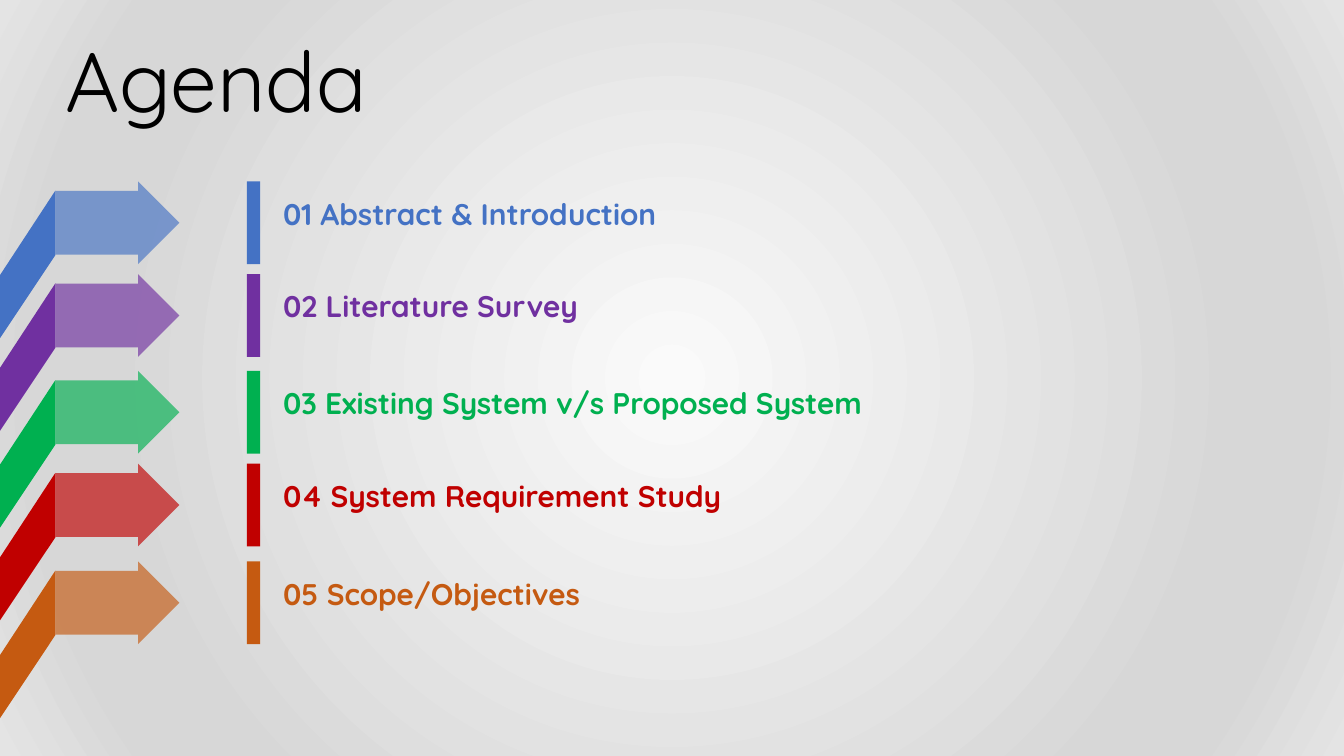
from dataclasses import dataclass

import lxml.etree
import pptx
import pptx.dml.color
import pptx.enum.shapes
import pptx.enum.text
import pptx.oxml
import pptx.oxml.ns
import pptx.util

Inches = pptx.util.Inches
RGBColor = pptx.dml.color.RGBColor
MSO_SHAPE = pptx.enum.shapes.MSO_SHAPE
qn = pptx.oxml.ns.qn

FONT = "Quicksand"
BLACK = RGBColor(0x00, 0x00, 0x00)
BLUE = RGBColor(0x44, 0x72, 0xC4)
PURPLE = RGBColor(0x70, 0x30, 0xA0)
GREEN = RGBColor(0x00, 0xB0, 0x50)
RED = RGBColor(0xC0, 0x00, 0x00)
ORANGE = RGBColor(0xC5, 0x5A, 0x11)
BACKDROP_STOPS = (
    (0, RGBColor(0xFA, 0xFA, 0xFA)),
    (74, RGBColor(0xD7, 0xD7, 0xD7)),
    (83, RGBColor(0xD7, 0xD7, 0xD7)),
    (100, RGBColor(0xE4, 0xE4, 0xE4)),
)

ROW_HEIGHT = 0.82
ARROW_LEFT = 0.55
ARROW_ALPHA = 65
TAIL_OFFSET = 0.09
TAIL_DROP = 0.84
TAIL_THICKNESS = 0.64


@dataclass(frozen=True)
class AgendaItem:
    top: float
    color: RGBColor
    text: str


ITEMS = (
    AgendaItem(1.8, BLUE, "01 Abstract & Introduction"),
    AgendaItem(2.72, PURPLE, "02 Literature Survey"),
    AgendaItem(3.68, GREEN, "03 Existing System v/s Proposed System"),
    AgendaItem(4.6, RED, "04 System Requirement Study"),
    AgendaItem(5.57, ORANGE, "05 Scope/Objectives"),
)


def set_backdrop(slide) -> None:
    fill = slide.background.fill
    fill.gradient()
    grad = slide.background._cSld.find(".//" + qn("a:gradFill"))
    for child in list(grad):
        grad.remove(child)
    stops = lxml.etree.SubElement(grad, qn("a:gsLst"))
    for percent, color in BACKDROP_STOPS:
        stop = lxml.etree.SubElement(stops, qn("a:gs"), pos=str(percent * 1000))
        lxml.etree.SubElement(stop, qn("a:srgbClr"), val=str(color))
    circle = lxml.etree.SubElement(grad, qn("a:path"), path="circle")
    lxml.etree.SubElement(
        circle, qn("a:fillToRect"), l="50000", t="50000", r="50000", b="50000"
    )


def paint(sp, color: RGBColor) -> None:
    sp.shadow.inherit = False
    sp.fill.solid()
    sp.fill.fore_color.rgb = color
    sp.line.fill.background()


def write(sp, text: str, size: float, color: RGBColor, bold: bool) -> None:
    tf = sp.text_frame
    tf.word_wrap = True
    tf.text = text
    p = tf.paragraphs[0]
    p.alignment = pptx.enum.text.PP_ALIGN.LEFT
    font = p.runs[0].font
    font.name = FONT
    font.size = pptx.util.Pt(size)
    font.bold = bold
    font.color.rgb = color


def add_title(slide) -> None:
    title = slide.shapes.title
    title.left, title.top = Inches(0.55), Inches(0.23)
    title.width, title.height = Inches(11.76), Inches(1.14)
    write(title, "Agenda", 60, BLACK, False)
    title.text_frame.auto_size = pptx.enum.text.MSO_AUTO_SIZE.NONE
    title.text_frame.vertical_anchor = pptx.enum.text.MSO_ANCHOR.TOP


def add_arrow(slide, item: AgendaItem) -> None:
    arrow = slide.shapes.add_shape(
        MSO_SHAPE.RIGHT_ARROW,
        Inches(ARROW_LEFT), Inches(item.top), Inches(1.23), Inches(ROW_HEIGHT),
    )
    arrow.adjustments[0] = 0.773
    arrow.adjustments[1] = 0.5
    paint(arrow, item.color)
    color = arrow._element.spPr.find(qn("a:solidFill"))[0]
    lxml.etree.SubElement(color, qn("a:alpha"), val=str(ARROW_ALPHA * 1000))


def add_tail(slide, item: AgendaItem) -> None:
    top = item.top + TAIL_OFFSET
    bottom = top + TAIL_THICKNESS
    builder = slide.shapes.build_freeform(Inches(0), Inches(top + TAIL_DROP))
    builder.add_line_segments([
        (Inches(ARROW_LEFT), Inches(top)),
        (Inches(ARROW_LEFT), Inches(bottom)),
        (Inches(-0.01), Inches(bottom + TAIL_DROP)),
    ])
    paint(builder.convert_to_shape(), item.color)


def add_item(slide, item: AgendaItem) -> None:
    add_arrow(slide, item)
    add_tail(slide, item)
    bar = slide.shapes.add_shape(
        MSO_SHAPE.RECTANGLE,
        Inches(2.45), Inches(item.top), Inches(0.13), Inches(ROW_HEIGHT),
    )
    paint(bar, item.color)
    label = slide.shapes.add_textbox(
        Inches(2.71), Inches(item.top + TAIL_OFFSET), Inches(6.64), Inches(0.46)
    )
    write(label, item.text, 21.3, item.color, True)


def main() -> None:
    prs = pptx.Presentation()
    prs.slide_width, prs.slide_height = Inches(13.33), Inches(7.5)
    slide = prs.slides.add_slide(prs.slide_layouts[5])
    set_backdrop(slide)
    add_title(slide)
    for item in ITEMS:
        add_item(slide, item)
    prs.save("out.pptx")


if __name__ == "__main__":
    main()
